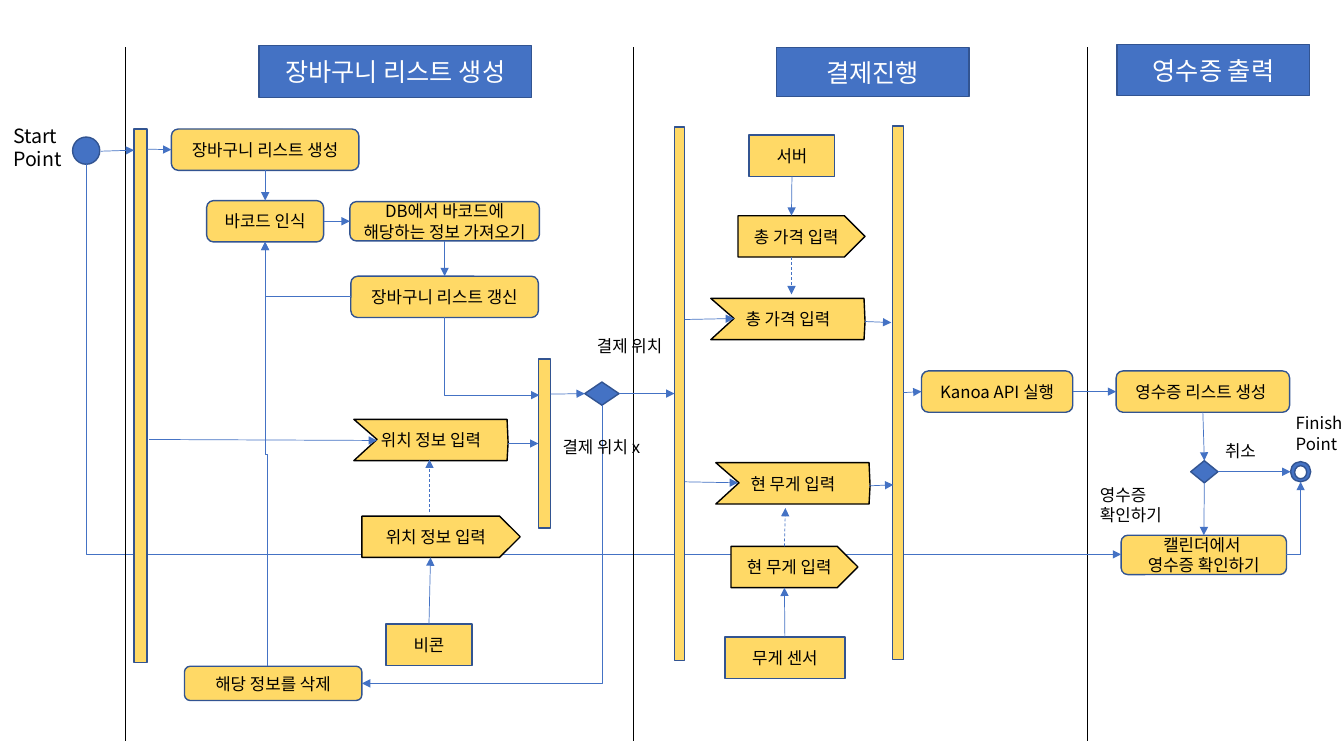
from dataclasses import dataclass
from typing import Any, NamedTuple

from lxml.etree import SubElement
from pptx import Presentation
from pptx.dml.color import RGBColor
from pptx.enum.dml import MSO_LINE
from pptx.enum.shapes import MSO_CONNECTOR, MSO_SHAPE
from pptx.enum.text import PP_ALIGN
from pptx.oxml.ns import qn
from pptx.util import Pt

PX = 9144  # EMU per px, 100 px to the inch
TOP, LEFT, BOTTOM, RIGHT = range(4)
STEP = 41  # height of most steps


@dataclass(frozen=True)
class Theme:
    font: str = "Noto Sans CJK KR"
    blue: str = "4472C4"
    edge: str = "325491"
    yellow: str = "FFD966"
    black: str = "000000"
    white: str = "FFFFFF"
    heading: int = 18
    start: int = 14
    body: int = 12


THEME = Theme()


class Port(NamedTuple):
    """The middle of one side of a shape."""
    shape: Any
    side: int


def rgb(code):
    return RGBColor.from_string(code)


def write(frame, text, size, color, align):
    frame.text = text
    for paragraph in frame.paragraphs:
        paragraph.alignment = align
        paragraph.font.size = Pt(size)
        paragraph.font.color.rgb = rgb(color)
        paragraph.font.name = THEME.font
        defaults = paragraph._p.pPr.find(qn("a:defRPr"))
        SubElement(defaults, qn("a:ea"), typeface=THEME.font)


@dataclass
class Region:
    """A box of the slide; all positions are relative to its corner."""
    shapes: Any
    left: int
    top: int
    width: int
    height: int

    def at(self, x, y):
        return (self.left + x) * PX, (self.top + y) * PX

    def style(self, shape, text, fill, edge, size=THEME.body, color=THEME.black):
        shape.shadow.inherit = False
        shape.fill.solid()
        shape.fill.fore_color.rgb = rgb(fill)
        shape.line.color.rgb = rgb(edge)
        shape.line.width = Pt(1)
        if text:
            write(shape.text_frame, text, size, color, PP_ALIGN.CENTER)
        return shape

    def node(self, kind, x, y, w, h, text="", fill=THEME.yellow, edge=THEME.edge, **font):
        shape = self.shapes.add_shape(kind, *self.at(x, y), w * PX, h * PX)
        return self.style(shape, text, fill, edge, **font)

    def step(self, x, y, w, text, h=STEP):
        return self.node(MSO_SHAPE.ROUNDED_RECTANGLE, x, y, w, h, text)

    def source(self, x, y, w, text):
        return self.node(MSO_SHAPE.RECTANGLE, x, y, w, STEP, text)

    def bar(self, x, y, w, h):
        return self.node(MSO_SHAPE.RECTANGLE, x, y, w, h)

    def decision(self, x, y, w, h):
        return self.node(MSO_SHAPE.DIAMOND, x, y, w, h, fill=THEME.blue)

    def sender(self, x, y, w, text):
        return self.node(MSO_SHAPE.PENTAGON, x, y, w, STEP, text, edge=THEME.black)

    def receiver(self, x, y, text):
        outline = self.shapes.build_freeform(0, 0, scale=PX)
        outline.add_line_segments([(152, 0), (153, 23), (152, STEP), (0, STEP), (23, 20)])
        shape = outline.convert_to_shape(*self.at(x, y))
        return self.style(shape, text, THEME.yellow, THEME.black)

    def label(self, x, y, w, h, text, size=THEME.body):
        frame = self.shapes.add_textbox(*self.at(x, y), w * PX, h * PX).text_frame
        frame.word_wrap = False
        frame.margin_left = frame.margin_right = 0
        frame.margin_top = frame.margin_bottom = 5 * PX
        write(frame, text, size, THEME.black, PP_ALIGN.LEFT)

    def connector(self, kind, begin, end, color=THEME.blue, arrow=True):
        line = self.shapes.add_connector(kind, *self.at(*begin), *self.at(*end))
        line.line.color.rgb = rgb(color)
        line.line.width = Pt(0.5)
        if arrow:
            SubElement(line.line._get_or_add_ln(), qn("a:tailEnd"), type="triangle")
        SubElement(line._element.spPr, qn("a:effectLst"))
        return line

    def link(self, begin, end, dashed=False):
        ends = [(0, 0) if isinstance(e, Port) else e for e in (begin, end)]
        line = self.connector(MSO_CONNECTOR.STRAIGHT, *ends)
        if isinstance(begin, Port):
            line.begin_connect(*begin)
        if isinstance(end, Port):
            line.end_connect(*end)
        if dashed:
            line.line.dash_style = MSO_LINE.DASH

    def elbow(self, begin, end, vertical=True, preset="bentConnector2"):
        line = self.connector(MSO_CONNECTOR.ELBOW, begin, end)
        line._element.spPr.find(qn("a:prstGeom")).set("prst", preset)
        if vertical:  # turn the bend so that it leaves upwards or downwards
            dx, dy = end[0] - begin[0], end[1] - begin[1]
            w, h = line.width, line.height
            line.left, line.top = line.left + (w - h) // 2, line.top + (h - w) // 2
            line.width, line.height = h, w
            xfrm = line._element.spPr.find(qn("a:xfrm"))
            xfrm.set("rot", str((90 if dy > 0 else 270) * 60000))
            xfrm.set("flipH", "0")
            xfrm.set("flipV", "1" if dx * dy > 0 else "0")

    def lane(self, title, x, y, w, h):
        """Divider on the left edge, and heading."""
        self.connector(MSO_CONNECTOR.STRAIGHT, (0, 47), (0, self.height), THEME.black, arrow=False)
        self.node(MSO_SHAPE.RECTANGLE, x, y, w, h, title, THEME.blue,
                  size=THEME.heading, color=THEME.white)


def receipt_lane(box):
    box.lane("영수증 출력", 30, 44, 191, 51)
    receipt = box.step(29, 368, 172, "영수증 리스트 생성 ")
    calendar = box.step(34, 531, 164, "캘린더에서 \v영수증 확인하기", h=39)
    choice = box.decision(103, 457, 27, 22)
    # Finish point
    box.node(MSO_SHAPE.OVAL, 202, 458, 20, 20, fill=THEME.blue)
    box.node(MSO_SHAPE.OVAL, 206, 462, 12, 13, fill=THEME.white)
    box.label(207, 405, 51, 50, "Finish\nPoint")
    box.label(13, 476, 73, 56, "영수증\n확인하기")
    box.label(137, 432, 39, 30, "취소")
    box.link(Port(receipt, BOTTOM), Port(choice, TOP))
    box.link(Port(choice, BOTTOM), Port(calendar, TOP))
    box.link(Port(choice, RIGHT), (202, 468))
    box.elbow((198, 550), (212, 478), vertical=False)
    return receipt


def start_lane(box):
    box.node(MSO_SHAPE.OVAL, 72, 136, 27, 27, fill=THEME.blue)
    box.label(13, 118, 61, 57, "Start\nPoint", THEME.start)


def cart_lane(box):
    box.lane("장바구니 리스트 생성", 133, 45, 270, 52)
    box.bar(9, 128, 13, 529)
    merge = box.bar(410, 356, 12, 168)
    # Cart steps
    create = box.step(46, 128, 186, "장바구니 리스트 생성")
    barcode = box.step(81, 199, 116, "바코드 인식")
    lookup = box.step(223, 200, 188, "DB에서 바코드에 해당하는 정보 가져오기", h=39)
    update = box.step(224, 274, 186, "장바구니 리스트 갱신")
    box.step(59, 661, 176, "해당 정보를 삭제", h=34)
    at_checkout = box.decision(456, 379, 34, 23)
    # Location signal
    box.receiver(227, 416, "위치 정보 입력")
    box.sender(235, 512, 157, "위치 정보 입력")
    beacon = box.source(259, 619, 85, "비콘")
    # Flow
    box.link((22, 148), Port(create, LEFT))
    box.link(Port(create, BOTTOM), Port(barcode, TOP))
    box.link(Port(barcode, RIGHT), Port(lookup, LEFT))
    box.link(Port(lookup, BOTTOM), Port(update, TOP))
    box.elbow((224, 294), (139, 240), vertical=False)
    box.elbow((141, 661), (139, 240), preset="bentConnector3")
    box.elbow((317, 315), (411, 392))
    box.elbow((473, 402), (235, 678))
    box.link((422, 391), Port(at_checkout, LEFT))
    box.link((380, 440), Port(merge, LEFT))
    box.link((24, 436), (250, 437))
    box.link((302, 508), (302, 456), dashed=True)
    box.link(Port(beacon, TOP), (303, 553))
    box.label(468, 328, 77, 30, "결제 위치")
    box.label(434, 428, 96, 30, "결제 위치 x")
    return at_checkout


def payment_lane(box):
    box.lane("결제진행", 142, 47, 191, 49)
    fork = box.bar(41, 126, 10, 529)
    join = box.bar(257, 125, 11, 529)
    # Total price signal
    server = box.source(115, 134, 85, "서버")
    box.sender(104, 214, 126, "총 가격 입력")
    box.receiver(77, 296, "총 가격 입력")
    box.link(Port(server, BOTTOM), (157, 214))
    box.link((157, 255), (157, 292), dashed=True)
    box.link((51, 317), (100, 316))
    box.link((230, 319), (256, 320))
    # Current weight signal
    sensor = box.source(91, 632, 119, "무게 센서")
    box.sender(97, 542, 126, "현 무게 입력")
    box.receiver(82, 459, "현 무게 입력")
    box.link(Port(sensor, TOP), (150, 583))
    box.link((150, 542), (151, 504), dashed=True)
    box.link((51, 478), (104, 479))
    box.link((234, 482), (258, 481))
    # Payment call
    pay = box.step(286, 368, 150, "Kanoa API 실행")
    box.link(Port(join, RIGHT), Port(pay, LEFT))
    return fork, pay


def main():
    prs = Presentation()
    prs.slide_width, prs.slide_height = 1333 * PX, 750 * PX
    shapes = prs.slides.add_slide(prs.slide_layouts[6]).shapes
    page = Region(shapes, 0, 0, 1333, 750)
    receipt = receipt_lane(Region(shapes, 1078, 0, 255, 735))
    start_lane(Region(shapes, 0, 0, 124, 735))
    page.elbow((86, 163), (1112, 550))  # passes behind the middle lanes
    at_checkout = cart_lane(Region(shapes, 124, 0, 504, 735))
    fork, pay = payment_lane(Region(shapes, 628, 0, 450, 735))
    # Flow between lanes
    page.link((100, 150), (133, 149))
    page.link(Port(at_checkout, RIGHT), Port(fork, LEFT))
    page.link(Port(pay, RIGHT), Port(receipt, LEFT))
    prs.save("out.pptx")


if __name__ == "__main__":
    main()
